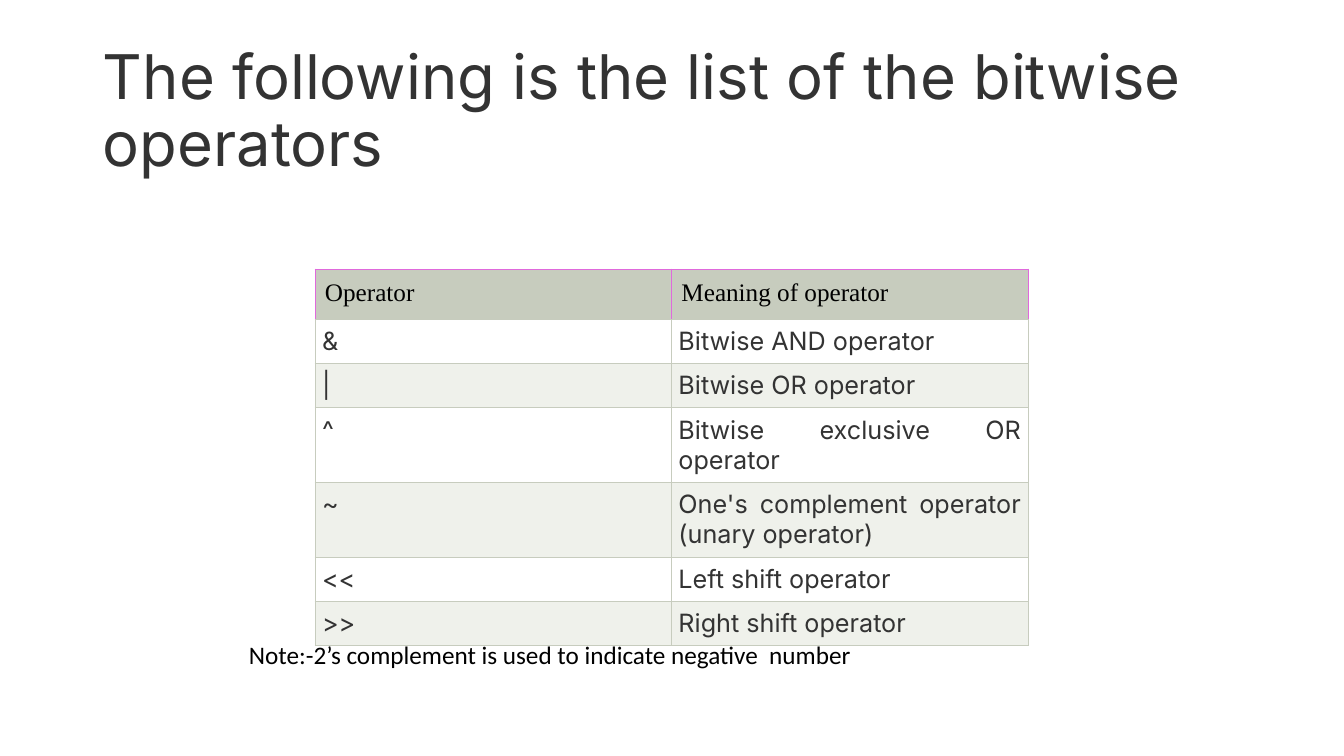
import pptx
import pptx.util
import pptx.dml.color
import pptx.enum.text
import pptx.oxml
import pptx.oxml.ns

RGB = pptx.dml.color.RGBColor
ALIGN = pptx.enum.text.PP_ALIGN
ANCHOR = pptx.enum.text.MSO_ANCHOR

DARK = RGB(0x33, 0x33, 0x33)
BLACK = RGB(0, 0, 0)
WHITE = RGB(0xFF, 0xFF, 0xFF)
SAGE = RGB(0xC7, 0xCC, 0xBE)
PALE = RGB(0xEF, 0xF1, 0xEB)
PINK = RGB(0xE0, 0x69, 0xDC)

SCALE = 914400 / 100.8  # EMU in one pixel
EDGE = 7620  # border width, 0.6 pt

TITLE = {"name": "Inter", "size": 44, "color": DARK}
HEAD = {"name": "Times New Roman", "size": 18, "color": BLACK}
BODY = {"name": "Inter", "size": 18, "color": DARK}
NOTE = {"name": "Calibri", "size": 18, "color": BLACK}

# Operator, meaning and row height
ROWS = [
    ("Operator", "Meaning of operator", 49),
    ("&", "Bitwise AND operator", 44),
    ("|", "Bitwise OR operator", 44),
    ("^", "Bitwise exclusive OR operator", 74),
    ("~", "One's complement operator (unary operator)", 75),
    ("<<", "Left shift operator", 44),
    (">>", "Right shift operator", 43),
]


def px(num):
    return pptx.util.Emu(round(num * SCALE))


def write(frame, text, font, **form):
    """Put one styled paragraph into a text frame."""
    para = frame.paragraphs[0]
    for key, val in form.items():
        setattr(para, key, val)
    run = para.add_run()
    run.text = text
    run.font.color.rgb = font["color"]
    for key, val in {"name": font["name"], "size": pptx.util.Pt(font["size"])}.items():
        setattr(run.font, key, val)


def add_text(slide, box, text, font, anchor, **form):
    frame = slide.shapes.add_textbox(*map(px, box)).text_frame
    frame.word_wrap = True
    frame.vertical_anchor = anchor
    write(frame, text, font, **form)


def add_edge(cell, side, color):
    """Append one cell border; call before the fill is set."""
    line = pptx.oxml.parse_xml(
        f'<a:ln{side} {pptx.oxml.ns.nsdecls("a")} w="{EDGE}"><a:solidFill>'
        f'<a:srgbClr val="{color}"/></a:solidFill></a:ln{side}>')
    cell._tc.get_or_add_tcPr().append(line)


def fill_cell(cell, text, row):
    head = row == 0
    for side in "LRTB":
        add_edge(cell, side, PINK if head and side != "B" else SAGE)
    cell.fill.solid()
    cell.fill.fore_color.rgb = SAGE if head else (PALE, WHITE)[row % 2]
    for side in ("left", "right", "top", "bottom"):
        setattr(cell, "margin_" + side, px(10 if head else 7))
    if head:
        write(cell.text_frame, text, HEAD)
    else:
        write(cell.text_frame, text, BODY, alignment=ALIGN.JUSTIFY)


def add_grid(slide, left, top, width):
    high = sum(row[-1] for row in ROWS)
    grid = slide.shapes.add_table(
        len(ROWS), 2, px(left), px(top), px(width), px(high)).table
    for num, (sign, mean, size) in enumerate(ROWS):
        grid.rows[num].height = px(size)
        for col, text in enumerate((sign, mean)):
            fill_cell(grid.cell(num, col), text, num)


def main():
    deck = pptx.Presentation()
    deck.slide_width, deck.slide_height = px(1344), px(756)
    slide = deck.slides.add_slide(deck.slide_layouts[6])

    # Title
    add_text(slide, (93, 40, 1159, 146),
             "The following is the list of the bitwise operators",
             TITLE, ANCHOR.MIDDLE, line_spacing=0.9)
    # Operator table
    add_grid(slide, 315, 269, 713)
    # Note under the table
    add_text(slide, (239, 634, 726, 40),
             "Note:-2’s complement is used to indicate negative  number",
             NOTE, ANCHOR.TOP)

    deck.save("out.pptx")


main()
